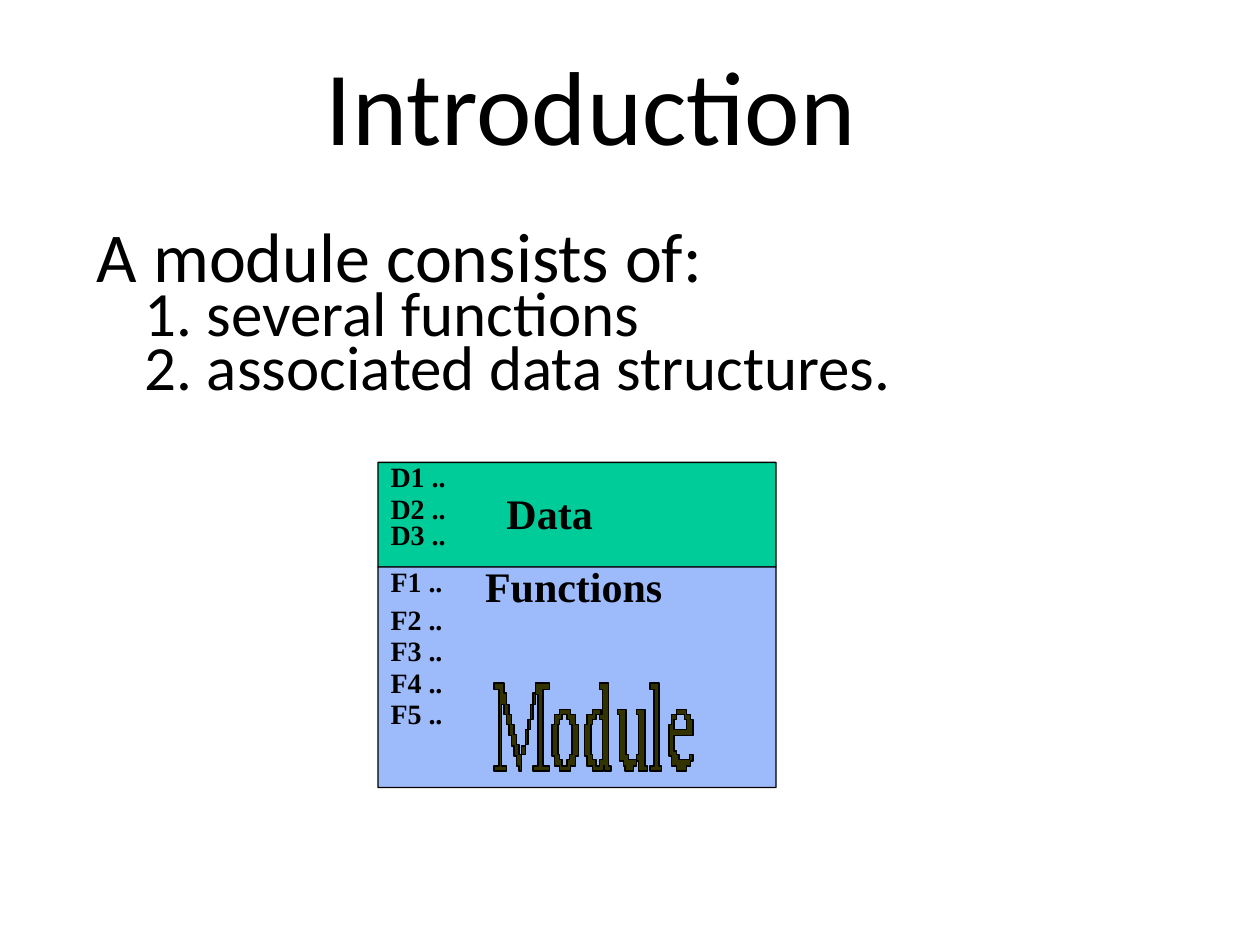
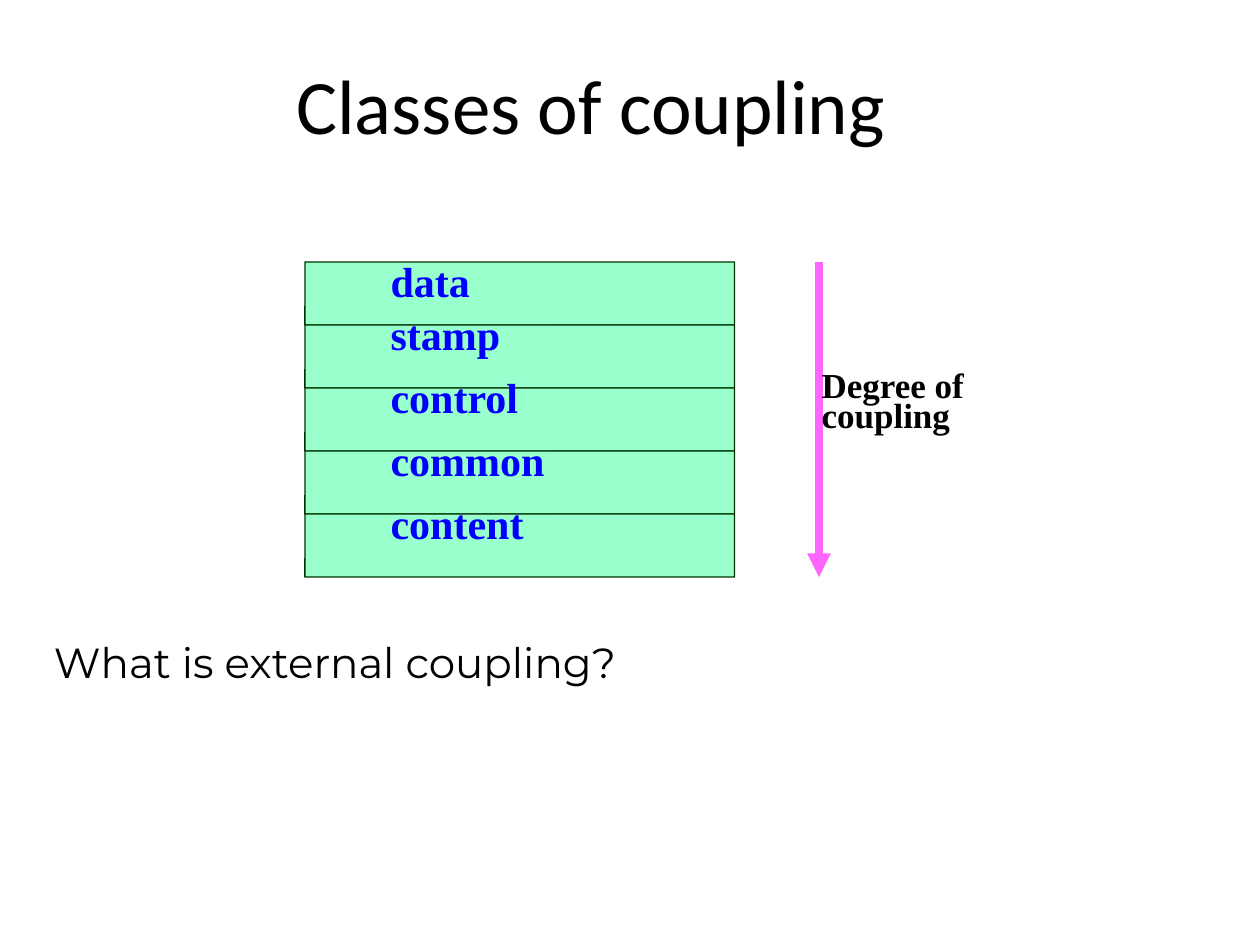
from lxml.etree import SubElement
from pptx import Presentation
from pptx.dml.color import RGBColor
from pptx.enum.shapes import MSO_CONNECTOR, MSO_SHAPE
from pptx.enum.text import MSO_ANCHOR, PP_ALIGN
from pptx.oxml.ns import qn
from pptx.util import Pt

PX = 9144
BLACK, BLUE, PINK = "000000", "0000FF", "FF66FF"
DATA_GREEN, FUNCTION_BLUE, WORD_BROWN = "00CC99", "9DBAFB", "333300"
ROW_GREEN, ROW_LINE = "99FFCC", "003300"
SANS, SERIF, QUESTION_FONT = "Calibri", "Times New Roman", "Montserrat"
TITLE_BOX = (44, 20, 850, 125)

MODULE_LETTERS = [
    ["0 0 8 8 10 17 12 25 14 33 16 41 18 49 20 57 22 50 25 37 27 29 29 17 31 8 33 0 "
     "44 5 39 66 44 70 31 66 35 9 33 17 31 29 29 37 27 49 25 57 22 70 20 66 18 58 "
     "16 50 14 42 12 33 10 25 8 17 6 66 10 70 0 66 4 5 0"],
    ["54 25 58 29 60 33 62 57 60 61 58 66 54 61 52 57 51 33 52 29 54",
     "52 21 61 25 65 33 67 58 65 66 61 70 52 66 48 58 46 33 48 25 52"],
    ["81 25 84 29 86 61 84 66 81 61 78 57 77 33 78 29 81",
     "84 0 91 66 93 70 88 66 87 70 78 66 74 58 72 33 74 25 78 21 85 25 86 5 84"],
    ["98 21 105 57 107 61 113 57 115 25 113 21 120 66 122 70 115 62 113 66 111 70 "
     "104 66 103 62 100 25 98"],
    ["124 0 131 66 133 70 124 66 127 5 124"],
    ["145 25 151 29 153 37 143 29 145",
     "145 21 153 25 156 29 158 42 143 54 145 57 147 61 155 57 158 62 156 66 153 70 "
     "145 66 141 58 139 33 141 25 145"],
]


def color(value):
    """Turn a hex string into a colour."""
    return RGBColor.from_string(value)


def emu(*lengths):
    """Scale px lengths to EMU."""
    return [length * PX for length in lengths]


def style_shape(shape, fill, line):
    """Give a shape a flat fill and a thin outline."""
    shape.shadow.inherit = False
    shape.fill.solid()
    shape.fill.fore_color.rgb = color(fill)
    shape.line.color.rgb = color(line)
    shape.line.width = Pt(0.75)


def style_paragraph(paragraph, size, font, ink=BLACK, bold=False, before=0, spacing=None):
    """Set the font and spacing of a paragraph."""
    paragraph.font.size = Pt(size)
    paragraph.font.name = font
    paragraph.font.bold = bold
    paragraph.font.color.rgb = color(ink)
    paragraph.space_before = Pt(before)
    paragraph.line_spacing = spacing


def add_text_frame(slide, box, side_inset=2):
    """Add a wrapping text box and return its frame."""
    frame = slide.shapes.add_textbox(*emu(*box)).text_frame
    frame.word_wrap = True
    frame.margin_left = frame.margin_right = side_inset * PX
    frame.margin_top = frame.margin_bottom = 5 * PX
    return frame


def add_label(slide, box, text, size, ink=BLACK):
    """Add a bold serif label with tight lines."""
    frame = add_text_frame(slide, box)
    frame.text = text
    style_paragraph(frame.paragraphs[0], size, SERIF, ink, True, size * 0.57, 0.72)


def add_title(slide, text, size):
    """Add the centred slide title."""
    frame = add_text_frame(slide, TITLE_BOX)
    frame.vertical_anchor = MSO_ANCHOR.MIDDLE
    frame.text = text
    paragraph = frame.paragraphs[0]
    paragraph.alignment = PP_ALIGN.CENTER
    style_paragraph(paragraph, size, SANS, before=size * 0.22)


def add_panel(slide, box, fill, line):
    """Add a filled panel with barely rounded corners."""
    panel = slide.shapes.add_shape(MSO_SHAPE.ROUNDED_RECTANGLE, *emu(*box))
    panel.adjustments[0] = 0.002
    style_shape(panel, fill, line)


def add_outline(slide, box, items):
    """Add the lead sentence and its indented items."""
    frame = add_text_frame(slide, box)
    lines = [(items[0], 0, 40, 28, -28, 1.4)]
    lines += [(item, 1, 36, 61, -23, 1.1) for item in items[1:]]
    for index, (text, level, size, margin, indent, before) in enumerate(lines):
        paragraph = frame.add_paragraph() if index else frame.paragraphs[0]
        paragraph.text = text
        paragraph.level = level
        style_paragraph(paragraph, size, SANS, before=before, spacing=0.68)
        properties = paragraph._p.get_or_add_pPr()
        properties.set("marL", str(margin * PX))
        properties.set("indent", str(indent * PX))


def contour_points(contour):
    """Expand alternating x and y values into the corners of a contour."""
    x, y, *moves = map(int, contour.split())
    points = [(x, y)]
    for index, value in enumerate(moves):
        x, y = (x, value) if index % 2 else (value, y)
        points.append((x, y))
    return points


def add_module_word(slide, left, top):
    """Draw the stepped letters of the word."""
    for contours in MODULE_LETTERS:
        outlines = [contour_points(contour) for contour in contours]
        builder = slide.shapes.build_freeform(*outlines[0][0], scale=PX)
        for index, points in enumerate(outlines):
            if index:
                builder.move_to(*points[0])
            builder.add_line_segments(points[1:], close=True)
        style_shape(builder.convert_to_shape(*emu(left, top)), WORD_BROWN, BLACK)


def add_module_part(slide, box, fill, heading, heading_offset, prefix, tops):
    """Add one part of the module with its heading and numbered entries."""
    left, top, _, _ = box
    add_panel(slide, box, fill, BLACK)
    across, down = heading_offset
    add_label(slide, (left + across, top + down, 200, 50), heading, 24)
    for number, offset in enumerate(tops, 1):
        add_label(slide, (left + 8, top + offset, 66, 36), f"{prefix}{number} ..", 16)


def add_coupling_rows(slide, box, names):
    """Stack one row for each class of coupling."""
    left, top, width, height = box
    row_height = height // len(names)
    row_tops = [top + index * row_height for index in range(len(names))]
    for row_top in row_tops:
        add_panel(slide, (left, row_top, width, row_height), ROW_GREEN, ROW_LINE)
    for name, row_top in zip(names, row_tops):
        label_top = max(top, row_top - 8)
        add_label(slide, (left + 66, label_top, 291, row_height), name, 24, BLUE)


def add_degree_arrow(slide, left, top, height):
    """Add the downward arrow and its label."""
    arrow = slide.shapes.add_connector(
        MSO_CONNECTOR.STRAIGHT, *emu(left, top, left, top + height))
    arrow.line.color.rgb = color(PINK)
    arrow.line.width = Pt(4.5)
    SubElement(arrow.line._get_or_add_ln(), qn("a:tailEnd"), type="triangle")
    SubElement(arrow._element.spPr, qn("a:effectLst"))
    add_label(slide, (left, top + 84, 291, 76), "Degree of\vcoupling", 20)


def add_question(slide, box, text):
    """Add the closing question."""
    frame = add_text_frame(slide, box, side_inset=10)
    frame.text = text
    style_paragraph(frame.paragraphs[0], 24, QUESTION_FONT)


def build_introduction(slide):
    """Build the slide on the parts of a module."""
    add_title(slide, "Introduction", 60)
    add_outline(slide, (75, 183, 850, 450), [
        "A module consists of:", "1. several functions", "2. associated data structures."])
    add_module_part(slide, (300, 367, 316, 83), DATA_GREEN,
                    "Data", (100, 25), "D", (0, 25, 46))
    add_module_part(slide, (300, 450, 316, 175), FUNCTION_BLUE,
                    "Functions", (83, 0), "F", (0, 30, 55, 80, 105))
    add_module_word(slide, 392, 542)


def build_coupling(slide):
    """Build the slide on the classes of coupling."""
    add_title(slide, "Classes of coupling", 44)
    add_coupling_rows(slide, (242, 208, 341, 250),
                      ["data", "stamp", "control", "common", "content"])
    add_degree_arrow(slide, 650, 208, 250)
    add_question(slide, (33, 500, 908, 50), "What is external coupling?")


def main():
    """Build and save the presentation."""
    presentation = Presentation()
    presentation.slide_width, presentation.slide_height = emu(1000, 750)
    for build in (build_introduction, build_coupling):
        build(presentation.slides.add_slide(presentation.slide_layouts[6]))
    presentation.save("out.pptx")


if __name__ == "__main__":
    main()
